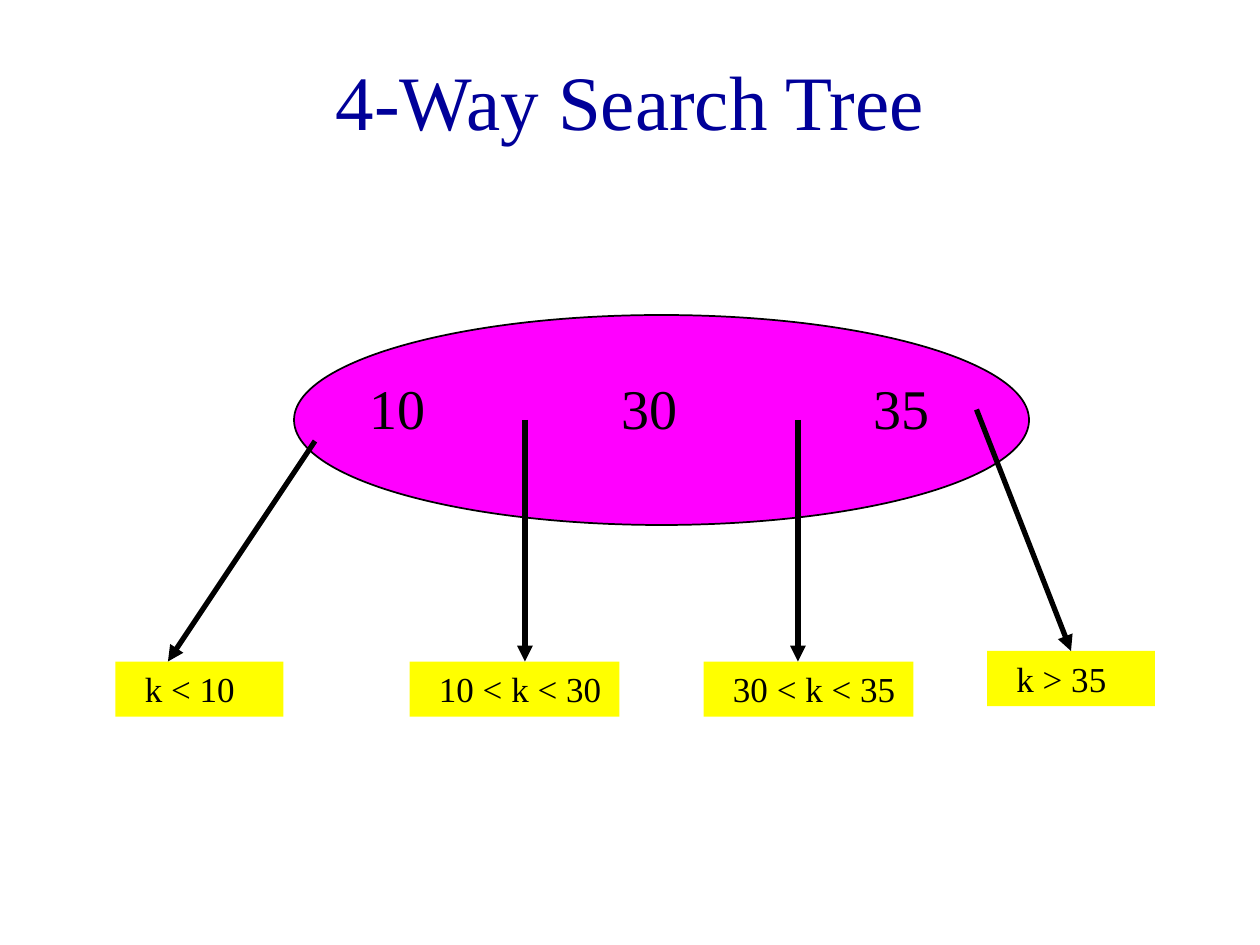
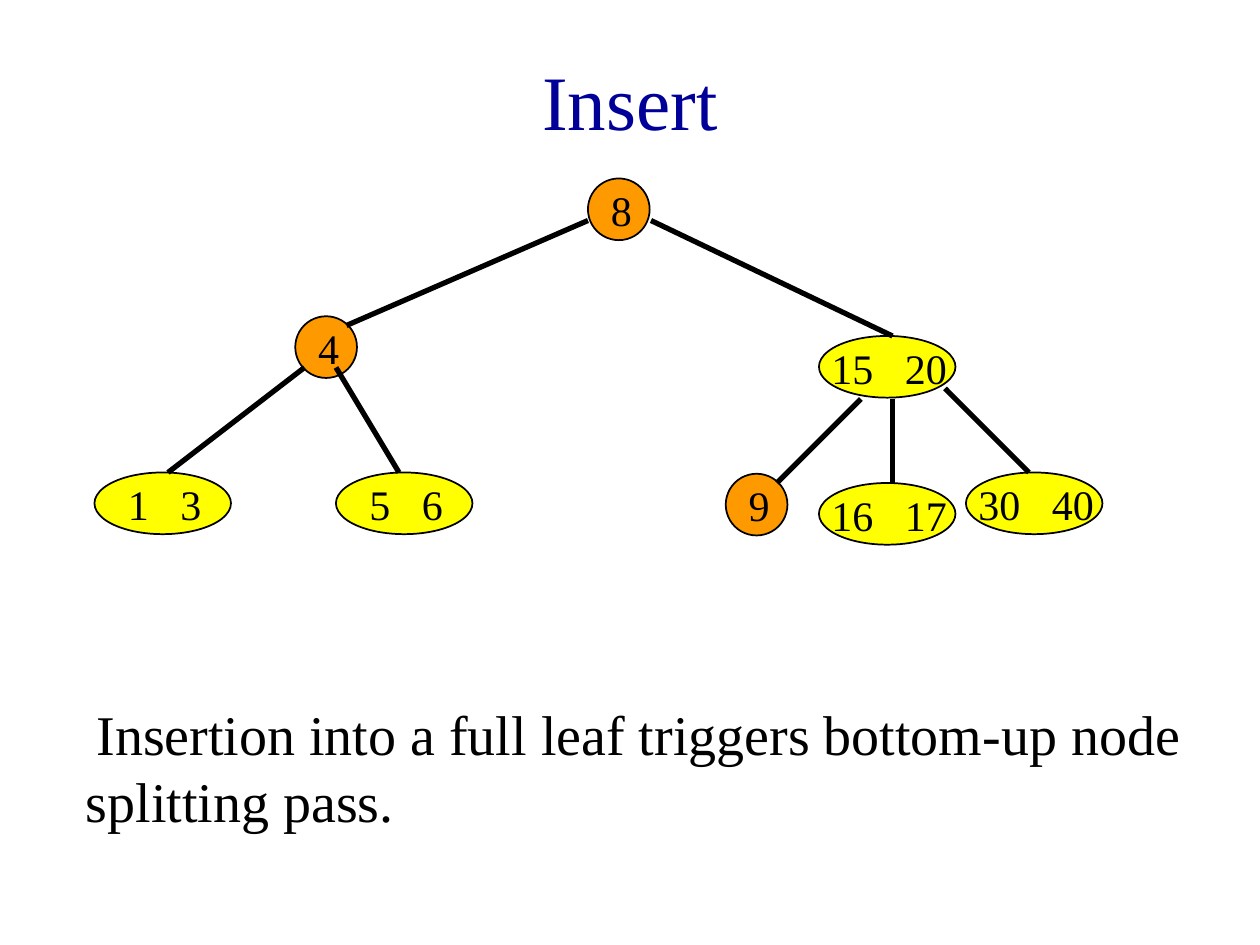
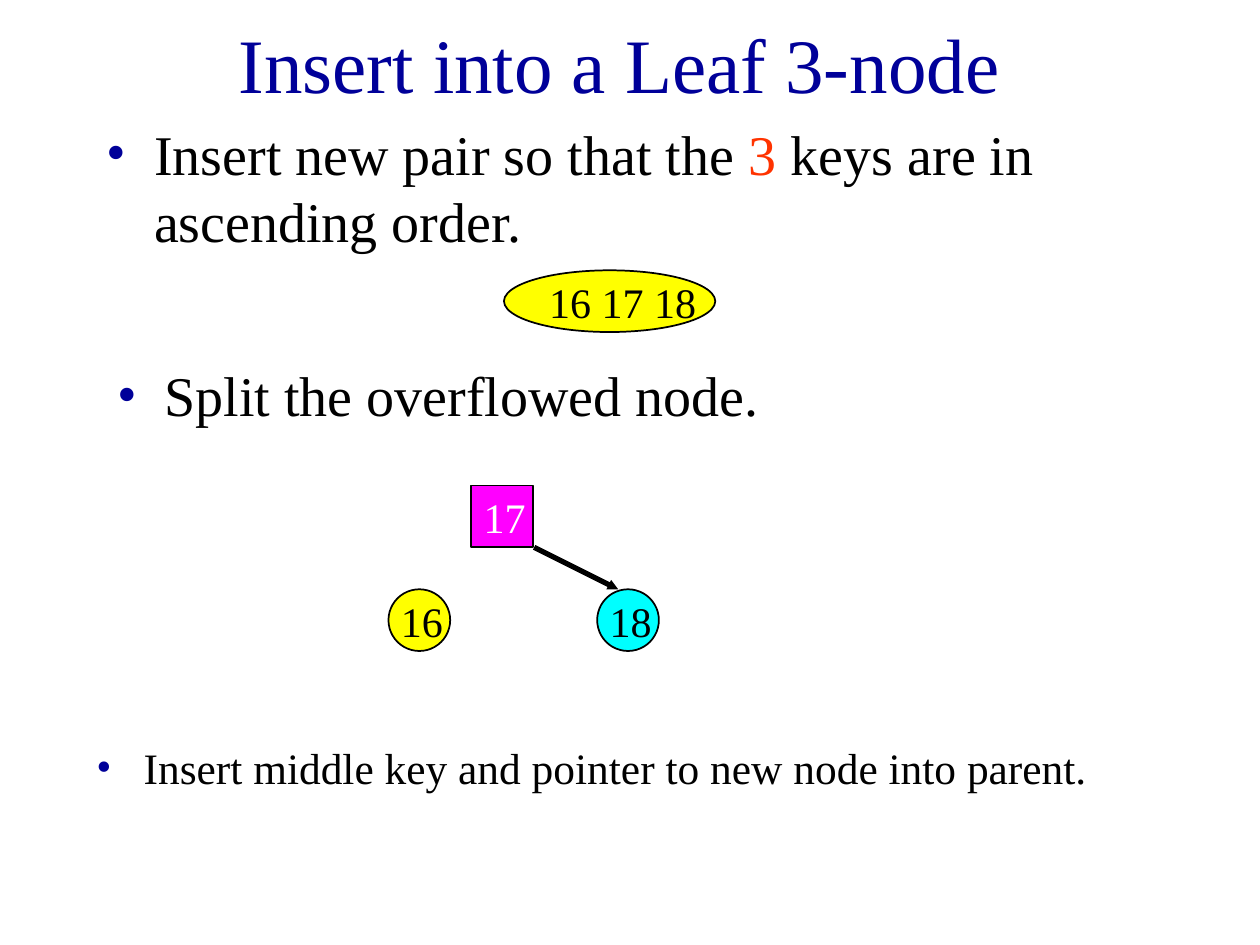
import pptx
import pptx.dml.color
import pptx.enum.shapes
import pptx.enum.text
import pptx.oxml.ns
import pptx.util
from lxml import etree

RGB = pptx.dml.color.RGBColor
NAVY, BLACK, WHITE = RGB(0, 0, 153), RGB(0, 0, 0), RGB(255, 255, 255)
MAGENTA, YELLOW, CYAN = RGB(255, 0, 255), RGB(255, 255, 0), RGB(0, 255, 255)
ORANGE, RED = RGB(255, 153, 0), RGB(255, 51, 0)
FONT = "Times New Roman"

SHAPES = pptx.enum.shapes.MSO_SHAPE
ALIGN = pptx.enum.text.PP_ALIGN
ANCHOR = pptx.enum.text.MSO_ANCHOR
GROW = pptx.enum.text.MSO_AUTO_SIZE.SHAPE_TO_FIT_TEXT
STRAIGHT = pptx.enum.shapes.MSO_CONNECTOR.STRAIGHT

EMU_PER_PX = 9525
DOT = 47  # side of a node with one key
TOP_SIDE = 0


def px(*lengths):
    return [length * EMU_PER_PX for length in lengths]


def apply(target, values):
    for name, value in values.items():
        setattr(target, name, value)


def add_xml(parent, tag, **attributes):
    return etree.SubElement(parent, pptx.oxml.ns.qn(tag), attributes)


# Shared text and drawing parts

def write(frame, pieces, size, before=0, align=ALIGN.LEFT, margin=0, indent=0):
    """Fill the frame with one paragraph of (text, colour) pieces."""
    frame.word_wrap = True
    paragraph = frame.paragraphs[0]
    apply(paragraph, {"alignment": align, "space_before": pptx.util.Pt(before)})
    for words, colour in pieces:
        run = paragraph.add_run()
        run.text = words
        apply(run.font, {"name": FONT, "size": pptx.util.Pt(size)})
        run.font.color.rgb = colour
    properties = paragraph._p.get_or_add_pPr()
    properties.set("marL", str(margin * EMU_PER_PX))
    properties.set("indent", str(indent * EMU_PER_PX))
    return properties


def add_text(slide, box, pieces, size, **layout):
    frame = slide.shapes.add_textbox(*px(*box)).text_frame
    apply(frame, {"auto_size": GROW, "vertical_anchor": ANCHOR.TOP})
    return write(frame, pieces, size, **layout)


def add_keys(slide, left, top, keys, size, before, step, height=48, colour=BLACK):
    """Write the keys of a node in columns that are one step apart."""
    for column, key in enumerate(keys):
        add_text(slide, (left + column * step, top, step, height), [(key, colour)],
                 size, before=before)


def add_bullet(slide, box, pieces, size=32):
    properties = add_text(slide, box, pieces, size, before=8, margin=36, indent=-36)
    colour = add_xml(properties, "a:buClr")
    add_xml(colour, "a:srgbClr", val=str(NAVY))
    add_xml(properties, "a:buFont", typeface=FONT)
    add_xml(properties, "a:buChar", char="•")


def add_figure(slide, kind, box, fill, outlined=True):
    figure = slide.shapes.add_shape(kind, *px(*box))
    figure.shadow.inherit = False
    figure.fill.solid()
    figure.fill.fore_color.rgb = fill
    if outlined:
        figure.line.color.rgb = BLACK
        figure.line.width = pptx.util.Pt(1)
    else:
        figure.line.fill.background()
    return figure


def add_edge(slide, left, top, ends, head=None):
    """Draw an edge; head is the size of its arrowhead, if it has one."""
    x1, y1, x2, y2 = ends
    edge = slide.shapes.add_connector(
        STRAIGHT, *px(left + x1, top + y1, left + x2, top + y2))
    edge.line.color.rgb = BLACK
    edge.line.width = pptx.util.Pt(3)
    if head:
        add_xml(edge.line._get_or_add_ln(), "a:tailEnd", type="triangle", w=head, len=head)
    add_xml(edge._element.spPr, "a:effectLst")
    return edge


def add_node(slide, left, top, keys, fill, kind=SHAPES.OVAL, colour=BLACK):
    """Draw a node of one or two keys; its size follows from the keys."""
    count, digits = len(keys), len(keys[0])
    add_figure(slide, kind, (left, top, DOT if count == 1 else 104, DOT), fill)
    inset = 8 * count if digits == 1 else 0
    add_keys(slide, left + inset, top, keys, 24, 15, 24 + 16 * digits, colour=colour)


def add_titled_slide(deck, title, box=(72, 16, 816, 120)):
    slide = deck.slides.add_slide(deck.slide_layouts[5])
    heading = slide.shapes.title
    apply(heading, dict(zip(("left", "top", "width", "height"), px(*box))))
    heading.text_frame.vertical_anchor = ANCHOR.MIDDLE
    write(heading.text_frame, [(title, NAVY)], 44, align=ALIGN.CENTER)
    return slide


# Slide 1: a node with three keys and four key ranges

def draw_search_node(slide, left, top):
    add_figure(slide, SHAPES.OVAL, (left + 136, top, 560, 160), MAGENTA)
    add_keys(slide, left + 184, top + 40, ["10", "30", "35"], 32, 20, 192, height=61)
    ranges = [
        ("k < 10", 0, 264, 128, (152, 96, 40, 264)),
        ("10 < k < 30", 224, 264, 160, (312, 80, 312, 264)),
        ("30 < k < 35", 448, 264, 160, (520, 80, 520, 264)),
        ("k > 35", 664, 256, 128, (656, 72, 728, 256)),
    ]
    for condition, x, y, width, ends in ranges:
        subtree = add_figure(slide, SHAPES.RECTANGLE, (left + x, top + y, width, 42),
                             YELLOW, outlined=False)
        subtree.text_frame.vertical_anchor = ANCHOR.TOP
        write(subtree.text_frame, [(condition, BLACK)], 20, before=12.5, margin=13)
        pointer = add_edge(slide, left, top, ends, head="med")
        if ends[2:] == (x + width // 2, y):
            pointer.end_connect(subtree, TOP_SIDE)


# Slide 2: the tree before the insertion

def draw_tree(slide, left, top):
    nodes = [
        (376, 0, ["8"]), (153, 105, ["4"]), (552, 120, ["15", "20"]),
        (0, 224, ["1", "3"]), (184, 224, ["5", "6"]), (481, 225, ["9"]),
        (552, 232, ["16", "17"]), (664, 224, ["30", "40"]),
    ]
    for x, y, keys in nodes:
        add_node(slide, left + x, top + y, keys, ORANGE if len(keys) == 1 else YELLOW)
    edges = [
        (376, 32, 192, 112), (424, 32, 608, 120),
        (160, 144, 56, 224), (184, 144, 232, 224),
        (584, 168, 520, 232), (608, 168, 608, 232), (648, 160, 712, 224),
    ]
    for ends in edges:
        add_edge(slide, left, top, ends)


# Slide 3: the overflowed leaf and its split

def draw_overflowed_leaf(slide, left, top):
    add_figure(slide, SHAPES.OVAL, (left, top, 161, DOT), YELLOW)
    add_text(slide, (left + 25, top, 175, 48), [("16 17 18", BLACK)], 24, before=15)


def draw_split(slide, left, top):
    add_node(slide, left + 159, top + 79, ["18"], CYAN)
    add_node(slide, left, top + 79, ["16"], YELLOW)
    add_node(slide, left + 63, top, ["17"], MAGENTA, SHAPES.RECTANGLE, WHITE)
    add_edge(slide, left, top, (111, 47, 175, 79), head="sm")


def main():
    deck = pptx.Presentation()
    apply(deck, dict(zip(("slide_width", "slide_height"), px(960, 720))))

    search = add_titled_slide(deck, "4-Way Search Tree")
    draw_search_node(search, 88, 240)

    insert = add_titled_slide(deck, "Insert")
    draw_tree(insert, 72, 136)
    summary = "Insertion into a full leaf triggers bottom-up node splitting pass."
    add_text(insert, (56, 528, 888, 112), [(summary, BLACK)], 32, before=20, indent=8)

    leaf = add_titled_slide(deck, "Insert into a Leaf 3-node", (64, 0, 816, 96))
    add_bullet(leaf, (72, 86, 816, 120), [
        ("Insert new pair so that the ", BLACK), ("3 ", RED),
        ("keys are in ascending order.", BLACK)])
    draw_overflowed_leaf(leaf, 384, 206)
    add_bullet(leaf, (80, 270, 816, 72), [("Split the overflowed node.", BLACK)])
    draw_split(leaf, 296, 370)
    add_bullet(leaf, (64, 560, 816, 72),
               [("Insert middle key and pointer to new node into parent.", BLACK)], 24.8)

    deck.save("out.pptx")


if __name__ == "__main__":
    main()
